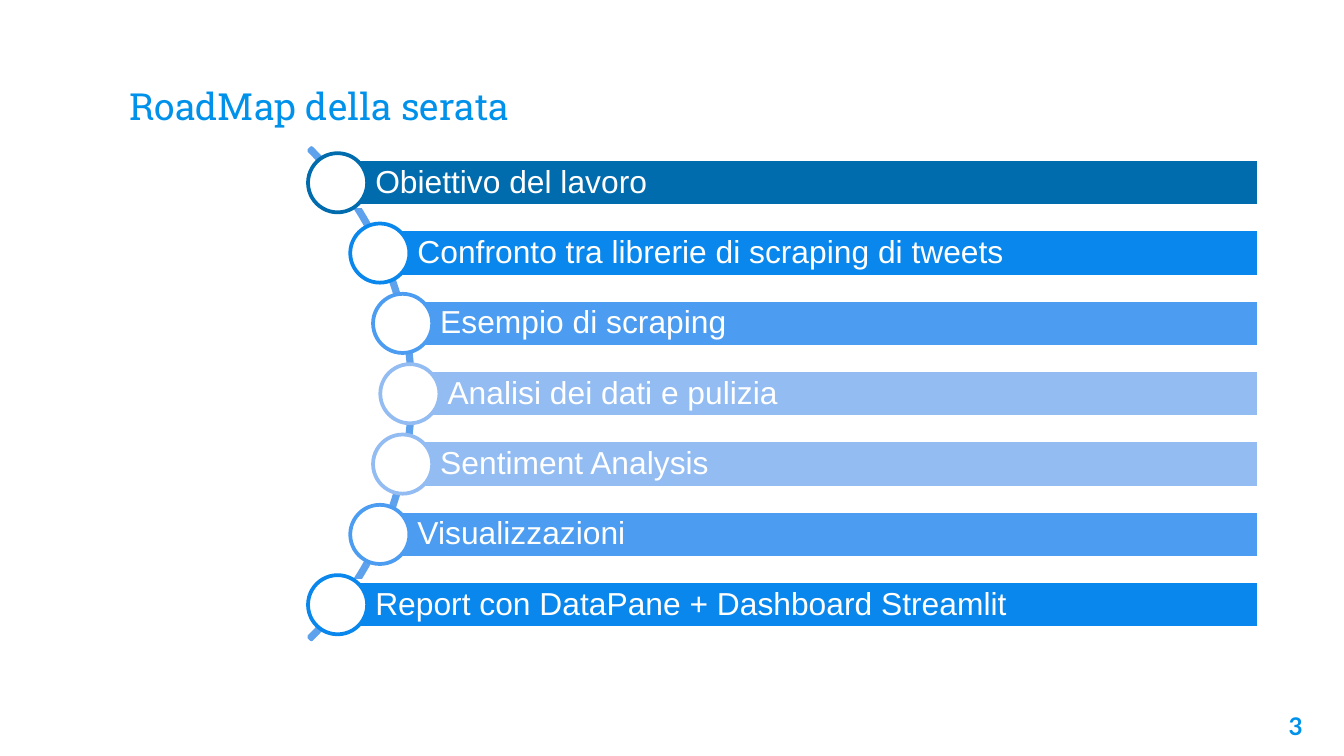
from math import sqrt

from pptx import Presentation
from pptx.dml.color import RGBColor
from pptx.enum.shapes import MSO_SHAPE as SHAPE
from pptx.enum.text import MSO_ANCHOR as ANCHOR, PP_ALIGN as ALIGN
from pptx.util import Inches, Pt

BLUE, WHITE, ARC_BLUE = "0091EA", "FFFFFF", "5EA1EC"
STEPS = [
    ("Obiettivo del lavoro", "006BAD"),
    ("Confronto tra librerie di scraping di tweets", "0987EC"),
    ("Esempio di scraping", "4C9DF1"),
    ("Analisi dei dati e pulizia", "93BCF2"),
    ("Sentiment Analysis", "93BCF2"),
    ("Visualizzazioni", "4C9DF1"),
    ("Report con DataPane + Dashboard Streamlit", "0987EC"),
]
CENTER_X, CENTER_Y, RADIUS = 0.49, 2.93, 2.56
ARC_SIZE, ROWS_SPAN = 5.17, 3.14
BAR_RIGHT, BAR_HEIGHT, DOT_SIZE = 9.37, 0.35, 0.44


def rgb(color):
    """Turn a hex string into a colour."""
    return RGBColor.from_string(color)


def write(tf, text, font, size, color, insets, anchor, align=ALIGN.LEFT, bold=False):
    """Fill a text frame with one formatted line."""
    tf.word_wrap = True
    tf.vertical_anchor = anchor
    tf.margin_left, tf.margin_top, tf.margin_right, tf.margin_bottom = map(Inches, insets)
    p = tf.paragraphs[0]
    p.alignment = align
    r = p.add_run()
    r.text = text
    r.font.name, r.font.size, r.font.bold = font, Pt(size), bold
    r.font.color.rgb = rgb(color)
    return p


def add_shape(shapes, kind, box, line, fill=None):
    """Add an outlined preset shape, filled or hollow."""
    sp = shapes.add_shape(kind, *map(Inches, box))
    sp.shadow.inherit = False
    if fill:
        sp.fill.solid()
        sp.fill.fore_color.rgb = rgb(fill)
    else:
        sp.fill.background()
    sp.line.color.rgb = rgb(line)
    sp.line.width = Pt(2)
    return sp


def add_title(s, text):
    """Place and fill the title placeholder."""
    sp = s.shapes.title
    sp.left, sp.top, sp.width, sp.height = map(Inches, (0.86, 0.28, 8.28, 0.77))
    write(sp.text_frame, text, "Roboto Slab", 20, BLUE, [0.1] * 4, ANCHOR.BOTTOM)


def add_page_number(s, text):
    """Add the page number in the lower right corner."""
    sp = s.shapes.add_textbox(*map(Inches, (9.19, 5.19, 0.6, 0.43)))
    write(sp.text_frame, text, "Lato", 13, BLUE, [0.1] * 4, ANCHOR.TOP, ALIGN.RIGHT, True)


def add_arc(shapes):
    """Add the thin arc that carries the steps."""
    half = ARC_SIZE / 2
    box = (CENTER_X - half, CENTER_Y - half, ARC_SIZE, ARC_SIZE)
    sp = add_shape(shapes, SHAPE.BLOCK_ARC, box, ARC_BLUE)
    for i, value in enumerate((189, 27, 0.005)):
        sp.adjustments[i] = value


def add_step(shapes, offset, text, color):
    """Add a bar and its dot at a vertical offset from the arc centre."""
    x, y = CENTER_X + sqrt(RADIUS**2 - offset**2), CENTER_Y + offset
    box = (x, y - BAR_HEIGHT / 2, BAR_RIGHT - x, BAR_HEIGHT)
    sp = add_shape(shapes, SHAPE.RECTANGLE, box, WHITE, color)
    p = write(sp.text_frame, text, "Arial", 17, WHITE, (0.28, 0.05, 0.05, 0.05), ANCHOR.MIDDLE)
    p.line_spacing = 0.9
    half = DOT_SIZE / 2
    add_shape(shapes, SHAPE.OVAL, (x - half, y - half, DOT_SIZE, DOT_SIZE), color, WHITE)


def main():
    """Build the roadmap slide."""
    prs = Presentation()
    prs.slide_width, prs.slide_height = Inches(10), Inches(10 * 9 / 16)
    s = prs.slides.add_slide(prs.slide_layouts[5])
    add_title(s, "RoadMap della serata")
    add_page_number(s, "3")
    shapes = s.shapes.add_group_shape().shapes
    add_arc(shapes)
    gap = ROWS_SPAN / (len(STEPS) - 1)
    for i, (text, color) in enumerate(STEPS):
        add_step(shapes, i * gap - ROWS_SPAN / 2, text, color)
    prs.save("out.pptx")


if __name__ == "__main__":
    main()
